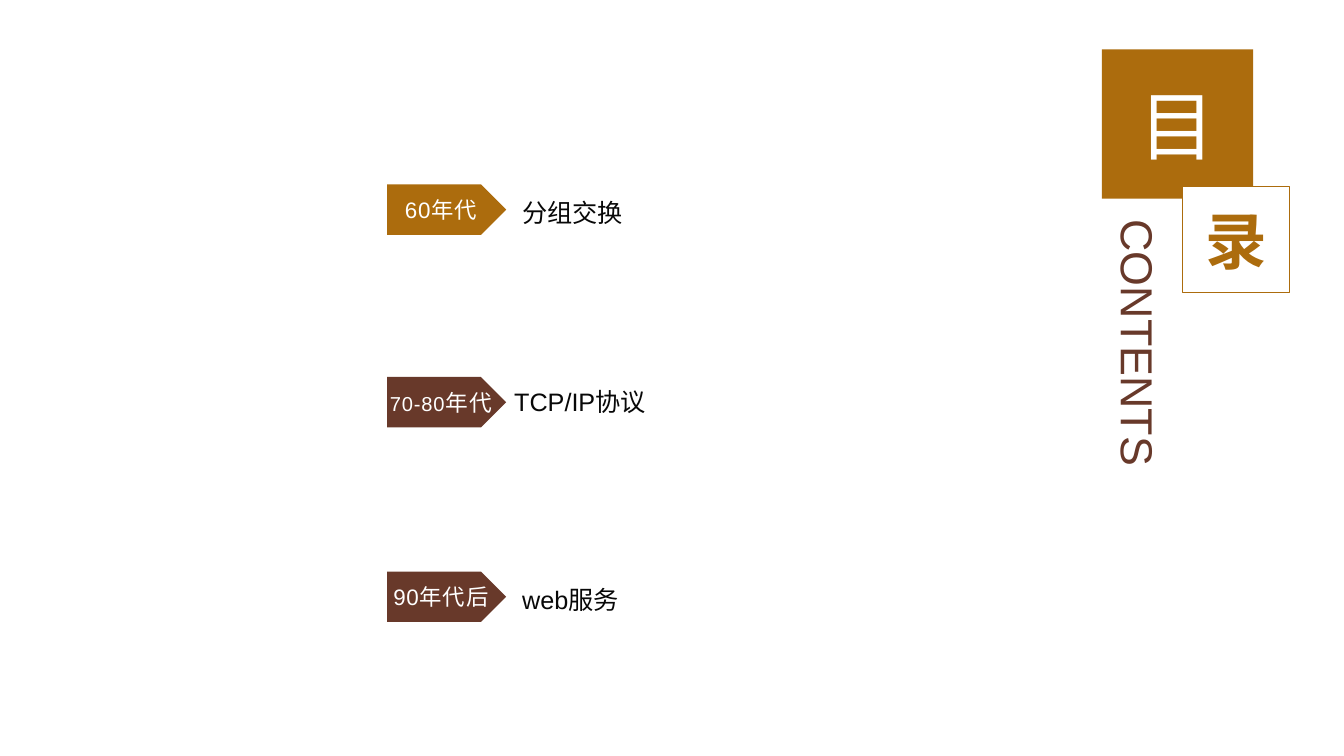
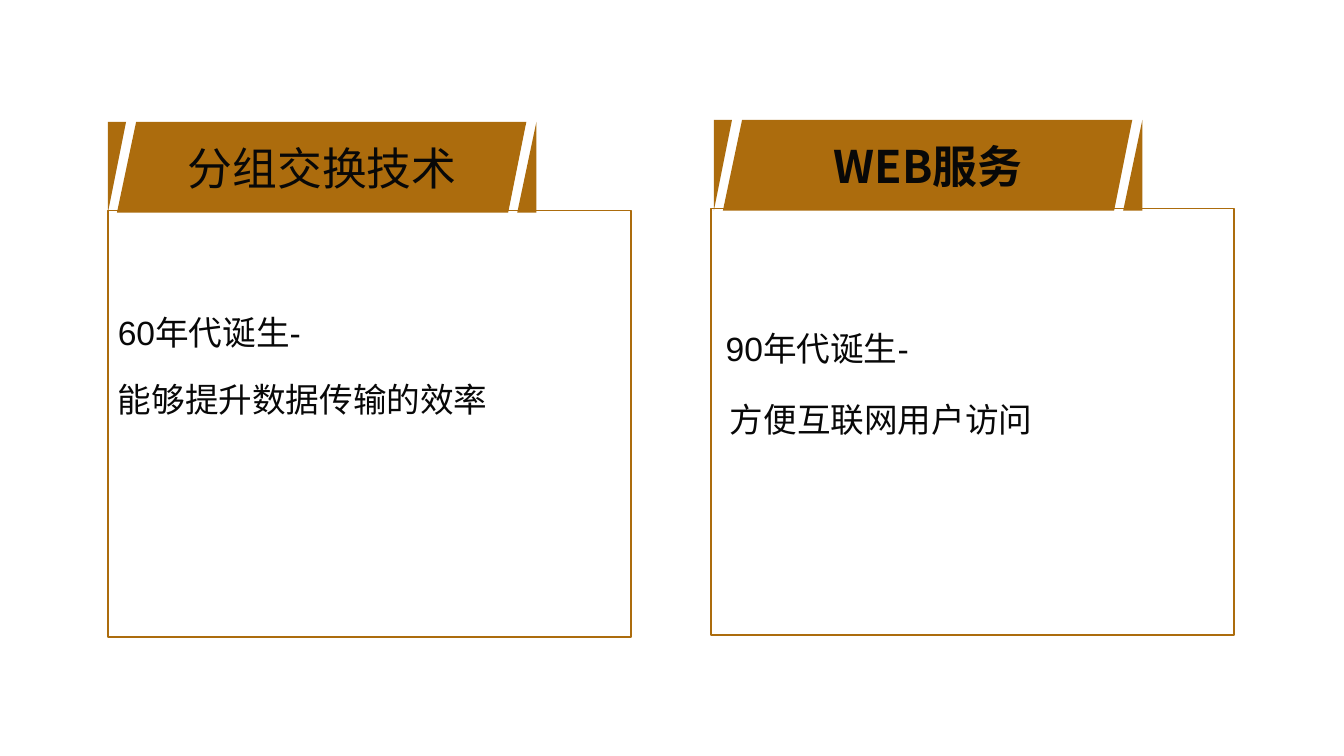
from lxml import etree
from pptx import Presentation
from pptx import util as u
from pptx.dml.color import RGBColor
from pptx.enum import shapes, text
from pptx.oxml.ns import qn

COLORS = {"gold": "AC6C0D", "brown": "68392A", "ink": "080808", "white": "FFFFFF"}
TITLE_FONT = "Noto Sans CJK SC"
CENTER = text.PP_ALIGN.CENTER
MIDDLE = text.MSO_ANCHOR.MIDDLE
LABEL_INSETS = (0.01, 0, 0, 0)


def color(name):
    return RGBColor.from_string(COLORS[name])


def write(shape, content, size=24, font="Arial", ink="ink", bold=False, align=None,
          anchor=MIDDLE, insets=(0.1, 0.05, 0.1, 0.05), spacing=None, gap=None,
          tracking=None, vertical=None, wrap=True):
    """Each line is a string, or a list of (string, size) runs."""
    frame = shape.text_frame
    frame.word_wrap = wrap
    frame.vertical_anchor = anchor
    (frame.margin_left, frame.margin_top,
     frame.margin_right, frame.margin_bottom) = map(u.Inches, insets)
    if vertical:
        frame._txBody.bodyPr.set("vert", vertical)
    lines = content if isinstance(content, list) else [content]
    for index, line in enumerate(lines):
        paragraph = frame.add_paragraph() if index else frame.paragraphs[0]
        paragraph.alignment = align
        paragraph.line_spacing = spacing
        if gap:
            paragraph.space_before = paragraph.space_after = u.Pt(gap)
        for words, points in [(line, size)] if isinstance(line, str) else line:
            run = paragraph.add_run()
            run.text = words
            run.font.size = u.Pt(points)
            run.font.name = font
            run.font.bold = bold
            run.font.color.rgb = color(ink)
            properties = run._r.get_or_add_rPr()
            if font == TITLE_FONT:
                etree.SubElement(properties, qn("a:ea")).set("typeface", font)
            if tracking:
                properties.set("spc", str(int(tracking * 100)))


def paint(shape, fill=None, line=None):
    shape.shadow.inherit = False
    if fill:
        shape.fill.solid()
        shape.fill.fore_color.rgb = color(fill)
    else:
        shape.fill.background()
    if line:
        shape.line.color.rgb = color(line)
        shape.line.width = u.Pt(1)
    else:
        shape.line.fill.background()
    return shape


presentation = Presentation()
presentation.slide_width = u.Inches(13.33)
presentation.slide_height = u.Inches(7.5)
blank = presentation.slide_layouts[6]

slide = presentation.slides.add_slide(blank)
eras = [
    ("60年代", "gold", 1.83, "分组交换", "Calibri", 5.13, 1.66),
    ([[("70-80", 14.4), ("年代", 16.2)]], "brown", 3.74, "TCP/IP协议", "Arial", 5.05, 3.53),
    ("90年代后", "brown", 5.67, "web服务", "Arial", 5.13, 5.5),
]
for era, fill, top, topic, font, topic_left, topic_top in eras:
    arrow = slide.shapes.add_shape(shapes.MSO_SHAPE.PENTAGON, u.Inches(3.84), u.Inches(top),
                                   u.Inches(1.18), u.Inches(0.5))
    write(paint(arrow, fill=fill), era, size=16, ink="white", align=CENTER,
          insets=LABEL_INSETS, tracking=0.6)
    box = slide.shapes.add_textbox(u.Inches(topic_left), u.Inches(topic_top),
                                   u.Inches(3.7), u.Inches(0.84))
    write(box, topic, size=18, font=font, insets=(0.05, 0.05, 0.1, 0.05), spacing=1.2)

heading_tiles = [
    ("目", 10.93, 0.49, 1.5, 1.48, "gold", None, 54, "white", False),
    ("录", 11.73, 1.85, 1.06, 1.05, "white", "gold", 44, "gold", True),
]
for character, left, top, width, height, fill, line, size, ink, bold in heading_tiles:
    tile = slide.shapes.add_shape(shapes.MSO_SHAPE.RECTANGLE, u.Inches(left), u.Inches(top),
                                  u.Inches(width), u.Inches(height))
    write(paint(tile, fill=fill, line=line), character, size=size, ink=ink, bold=bold,
          align=CENTER)
contents = slide.shapes.add_textbox(u.Inches(10.86), u.Inches(2.08),
                                    u.Inches(0.87), u.Inches(2.86))
write(contents, "CONTENTS", size=32, ink="brown", vertical="eaVert")

slide = presentation.slides.add_slide(blank)
banner_pieces = [
    [(0, 0), (0.18, 0), (0, 0.9)],
    [(0.28, 0), (4.15, 0), (3.97, 0.9), (0.09, 0.9)],
    [(4.25, 0), (4.25, 0.9), (4.06, 0.9)],
]
panels = []
for title, bold, panel_left, panel_top, banner_left, banner_top in [
    ("分组交换技术", False, 1.07, 2.09, 1.07, 1.21),
    ("WEB服务", True, 7.05, 2.07, 7.08, 1.19),
]:
    panel = slide.shapes.add_shape(shapes.MSO_SHAPE.RECTANGLE, u.Inches(panel_left),
                                   u.Inches(panel_top), u.Inches(5.19), u.Inches(4.23))
    panels.append(paint(panel, line="gold"))
    builder = None
    for piece in banner_pieces:
        points = [(u.Inches(banner_left + x), u.Inches(banner_top + y)) for x, y in piece]
        if builder is None:
            builder = slide.shapes.build_freeform(*points[0])
        else:
            builder.move_to(*points[0])
        builder.add_line_segments(points[1:], close=True)
    banner = paint(builder.convert_to_shape(), fill="gold")
    write(banner, title, size=32, font=TITLE_FONT, bold=bold, align=CENTER)

write(panels[0], ["60年代诞生-", "能够提升数据传输的效率"], align=text.PP_ALIGN.JUSTIFY,
      anchor=text.MSO_ANCHOR.TOP, insets=(0.1, 0.8, 0.1, 0.05), spacing=1.5, gap=2.5)
for words, left, top, width, wrap in [
    ("90年代诞生-", 7.1, 3.2, 5.16, True),
    ("方便互联网用户访问", 7.14, 3.91, 3.2, False),
]:
    box = slide.shapes.add_textbox(u.Inches(left), u.Inches(top), u.Inches(width), u.Inches(0.5))
    write(box, words, anchor=text.MSO_ANCHOR.TOP, wrap=wrap)

presentation.save("out.pptx")
